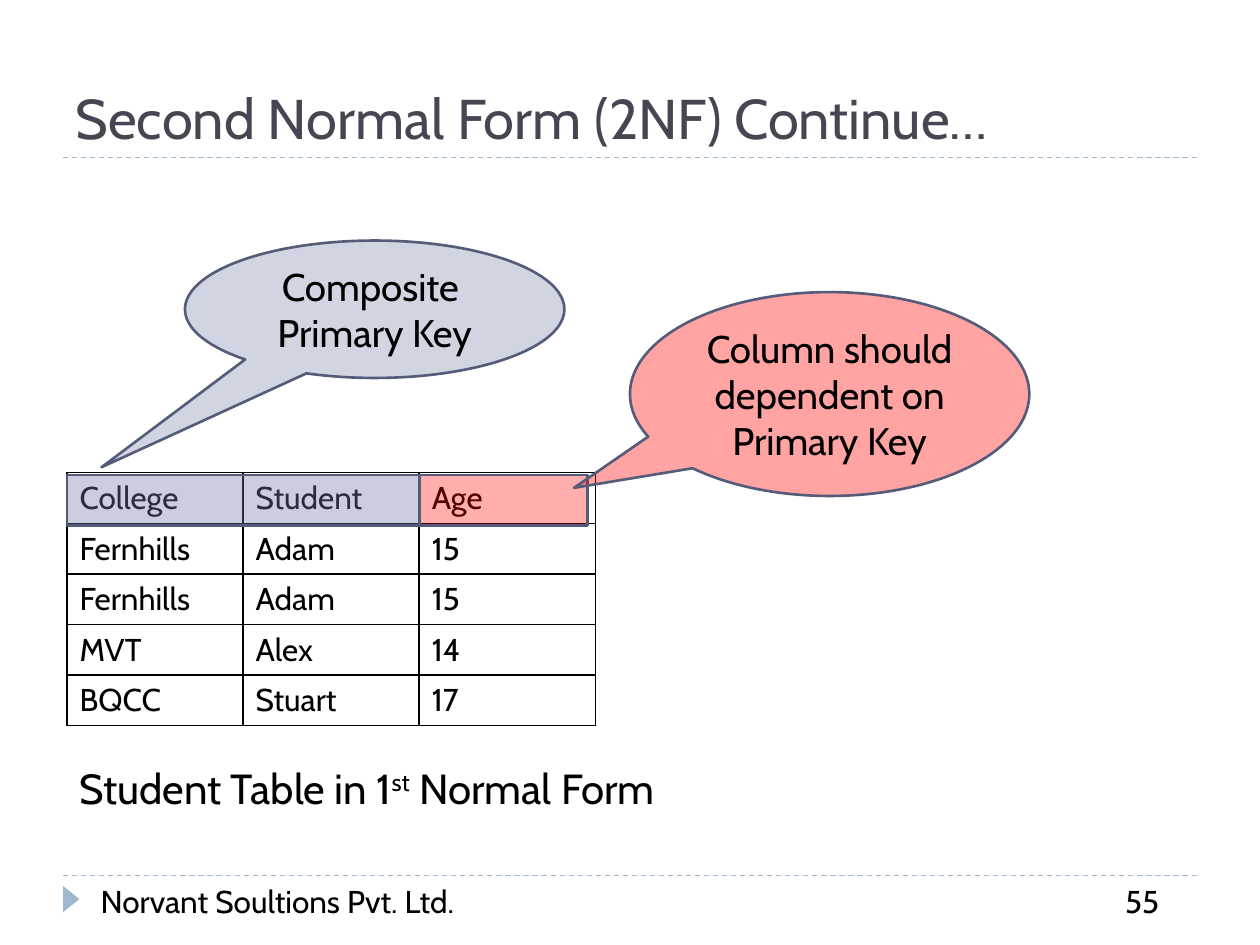
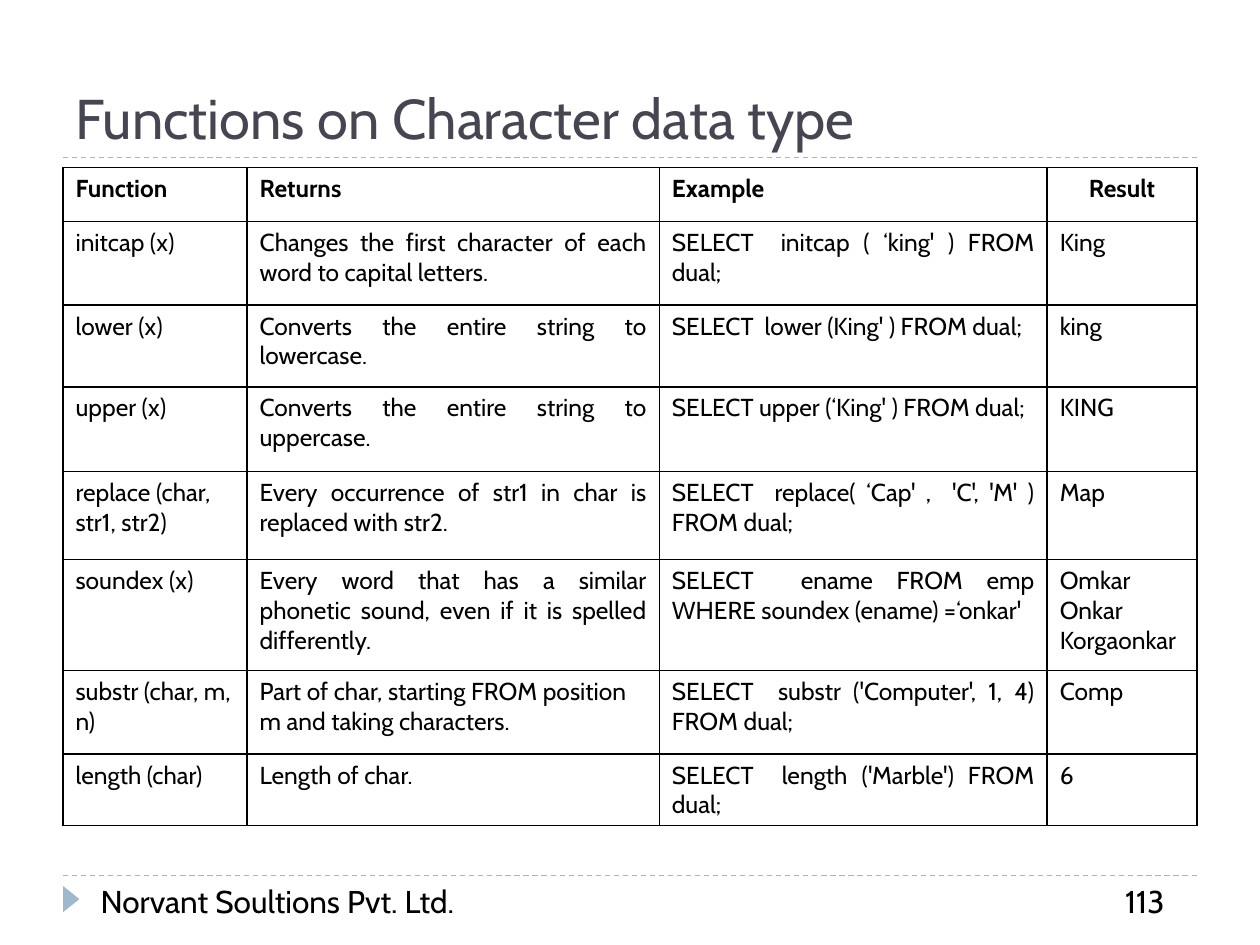
from dataclasses import dataclass
from typing import NamedTuple, Optional

from lxml.etree import SubElement
from pptx import Presentation
from pptx.dml.color import RGBColor
from pptx.enum.dml import MSO_LINE_DASH_STYLE as Dash
from pptx.enum.shapes import MSO_CONNECTOR as Connector
from pptx.enum.shapes import MSO_SHAPE as Preset
from pptx.enum.text import MSO_ANCHOR as Anchor
from pptx.enum.text import MSO_AUTO_SIZE as AutoSize
from pptx.enum.text import PP_ALIGN as Align
from pptx.oxml.ns import qn
from pptx.util import Cm, Pt


@dataclass(frozen=True)
class Theme:
    font: str = "Cabin"
    title_color: str = "464653"
    text_color: str = "000000"
    rule_color: str = "9FB8CD"
    outline_color: str = "545C79"
    key_color: str = "727CA3"
    dependent_color: str = "FF0000"
    title_size: float = 32
    caption_size: float = 24
    callout_size: float = 22
    body_size: float = 18
    small_size: float = 14
    rule_width: float = 0.75
    border_width: float = 1
    outline_width: float = 1.5


THEME = Theme()


class Box(NamedTuple):
    """Left, top, width and height in centimetres."""
    left: float
    top: float
    width: float
    height: float

    def lengths(self) -> tuple:
        return tuple(Cm(value) for value in self)


@dataclass(frozen=True)
class Highlight:
    """Translucent marker or callout laid over the table."""
    preset: Preset
    box: Box
    color: str
    opacity: int
    lines: tuple = ()
    tail: Optional[tuple] = None


class Cell(NamedTuple):
    text: str
    align: Align = Align.LEFT
    bold: bool = False


@dataclass(frozen=True)
class TableLayout:
    box: Box
    columns: tuple
    rows: tuple
    size: float
    anchor: Anchor


# Shared places
MARGIN, RIGHT_EDGE = 1.27, 24.13
RULE_TOPS = (17.65, 3.18)
TITLE_BOX = Box(MARGIN, 0.43, 22.86, 2.74)
MARKER_BOX = Box(1.17, 17.96, 0.53, 0.33)
COMPANY_BOX = Box(1.78, 17.65, 9.65, 1.02)
NUMBER_BOX = Box(22.43, 17.65, 1.7, 1.02)
COMPANY = "Norvant Soultions Pvt. Ltd."

# Normal form slide
STUDENTS = (
    ("College", "Student", "Age"),
    ("Fernhills", "Adam", "15"),
    ("Fernhills", "Adam", "15"),
    ("MVT", "Alex", "14"),
    ("BQCC", "Stuart", "17"),
)
STUDENT_LAYOUT = TableLayout(
    Box(1.35, 9.53, 10.65, 5.1), (3.55,) * 3, (1.02,) * 5, THEME.body_size, Anchor.MIDDLE)
CAPTION_BOX = Box(1.35, 15.24, 12.42, 1.27)
HIGHLIGHTS = (
    Highlight(Preset.RECTANGLE, Box(1.35, 9.58, 7.11, 1.02), THEME.key_color, 37),
    Highlight(Preset.OVAL_CALLOUT, Box(3.73, 4.85, 7.65, 2.77), THEME.key_color, 32,
              ("Composite ", "Primary Key"), (-0.72, 1.15)),
    Highlight(Preset.RECTANGLE, Box(8.46, 9.58, 3.38, 1.02), THEME.dependent_color, 32),
    Highlight(Preset.OVAL_CALLOUT, Box(12.7, 5.89, 8.05, 4.11), THEME.dependent_color, 36,
              ("Column should dependent on Primary Key",), (-0.64, 0.46)),
)

# Character function slide
FUNCTIONS = (
    ("Function", "Returns", "Example", "Result"),
    ("initcap (x)", "Changes the first character of each word to capital letters.",
     "SELECT  initcap ( ‘king' ) FROM dual;", "King"),
    ("lower (x)", "Converts the entire string to lowercase.",
     "SELECT  lower (King' ) FROM dual;", "king"),
    ("upper (x)", "Converts the entire string to uppercase.",
     "SELECT upper (‘King' ) FROM dual;", "KING"),
    ("replace (char, str1, str2)", "Every occurrence of str1 in char is replaced with str2.",
     "SELECT  replace( ‘Cap' ,  'C', 'M' ) FROM dual;", "Map"),
    ("soundex (x)",
     "Every word that has a similar phonetic sound, even if it is spelled differently.",
     "SELECT  ename FROM emp WHERE soundex (ename) =‘onkar'", "Omkar\nOnkar\nKorgaonkar"),
    ("substr (char, m, n)", "Part of char, starting FROM position m and taking characters.",
     "SELECT  substr ('Computer', 1, 4) FROM dual;", "Comp"),
    ("length (char)", "Length of char.", "SELECT  length ('Marble') FROM dual;", "6"),
)
FUNCTION_LAYOUT = TableLayout(
    Box(MARGIN, 3.38, 22.86, 13.24), (3.71, 8.31, 7.82, 3.02),
    (1.09, 1.68, 1.65, 1.7, 1.78, 2.24, 1.68, 1.42), THEME.small_size, Anchor.TOP)
HEADER_ALIGNS = (Align.JUSTIFY,) * 3 + (Align.CENTER,)
BODY_ALIGNS = (Align.LEFT, Align.JUSTIFY, Align.JUSTIFY, Align.LEFT)
LEFT_ALIGNED_RETURNS = "substr"


# Text and line helpers
def rgb(color: str) -> RGBColor:
    return RGBColor.from_string(color)


def add_run(paragraph, text: str, size: float, color: str = THEME.text_color,
            bold: bool = False):
    run = paragraph.add_run()
    run.text = text
    run.font.name = THEME.font
    run.font.size = Pt(size)
    run.font.bold = bold
    run.font.color.rgb = rgb(color)
    return run


def write_lines(frame, lines, size: float, align: Align = Align.LEFT,
                bold: bool = False) -> None:
    for index, line in enumerate(lines):
        paragraph = frame.add_paragraph() if index else frame.paragraphs[0]
        paragraph.alignment = align
        add_run(paragraph, line, size, bold=bold)


def add_text(slide, box: Box, text: str, size: float) -> None:
    frame = slide.shapes.add_textbox(*box.lengths()).text_frame
    frame.word_wrap = True
    write_lines(frame, (text,), size)


def add_rule(slide, top: float) -> None:
    rule = slide.shapes.add_connector(
        Connector.STRAIGHT, Cm(MARGIN), Cm(top), Cm(RIGHT_EDGE), Cm(top))
    rule.line.color.rgb = rgb(THEME.rule_color)
    rule.line.width = Pt(THEME.rule_width)
    rule.line.dash_style = Dash.DASH
    SubElement(rule._element.spPr, qn("a:effectLst"))


# Slide frame: rules, marker, title and footer
def add_framed_slide(presentation, title: str, number: int):
    slide = presentation.slides.add_slide(presentation.slide_layouts[5])
    for top in RULE_TOPS:
        add_rule(slide, top)
    marker = slide.shapes.add_shape(Preset.ISOSCELES_TRIANGLE, *MARKER_BOX.lengths())
    marker.rotation = 90
    marker.shadow.inherit = False
    marker.fill.solid()
    marker.fill.fore_color.rgb = rgb(THEME.rule_color)
    marker.line.fill.background()

    heading = slide.shapes.title
    heading.left, heading.top, heading.width, heading.height = TITLE_BOX.lengths()
    frame = heading.text_frame
    frame.auto_size = AutoSize.NONE
    frame.vertical_anchor = Anchor.BOTTOM
    frame.paragraphs[0].alignment = Align.LEFT
    add_run(frame.paragraphs[0], title, THEME.title_size, THEME.title_color)

    add_text(slide, COMPANY_BOX, COMPANY, THEME.body_size)
    add_text(slide, NUMBER_BOX, str(number), THEME.body_size)
    return slide


# Tables
def add_borders(cell) -> None:
    properties = cell._tc.get_or_add_tcPr()
    for side in ("lnL", "lnR", "lnT", "lnB"):
        border = SubElement(properties, qn(f"a:{side}"), w=str(Pt(THEME.border_width)))
        fill = SubElement(border, qn("a:solidFill"))
        SubElement(fill, qn("a:srgbClr"), val=THEME.text_color)


def add_grid(slide, layout: TableLayout, content: list) -> None:
    table = slide.shapes.add_table(
        len(layout.rows), len(layout.columns), *layout.box.lengths()).table
    table.first_row = table.horz_banding = False
    for column, width in zip(table.columns, layout.columns):
        column.width = Cm(width)
    for row, height, cells in zip(table.rows, layout.rows, content):
        row.height = Cm(height)
        for cell, entry in zip(row.cells, cells):
            add_borders(cell)
            cell.fill.background()
            cell.vertical_anchor = layout.anchor
            write_lines(cell.text_frame, entry.text.split("\n"), layout.size,
                        entry.align, entry.bold)


def function_cells() -> list:
    header, *body = FUNCTIONS
    content = [[Cell(text, align, True) for text, align in zip(header, HEADER_ALIGNS)]]
    for row in body:
        aligns = list(BODY_ALIGNS)
        if row[0].startswith(LEFT_ALIGNED_RETURNS):
            aligns[1] = Align.LEFT
        content.append([Cell(text, align) for text, align in zip(row, aligns)])
    return content


# Highlights
def add_highlight(slide, highlight: Highlight) -> None:
    shape = slide.shapes.add_shape(highlight.preset, *highlight.box.lengths())
    shape.shadow.inherit = False
    shape.fill.solid()
    shape.fill.fore_color.rgb = rgb(highlight.color)
    color = shape._element.spPr.find(qn("a:solidFill")).find(qn("a:srgbClr"))
    SubElement(color, qn("a:alpha"), val=str(highlight.opacity * 1000))
    shape.line.color.rgb = rgb(THEME.outline_color)
    shape.line.width = Pt(THEME.outline_width)
    if highlight.tail:
        shape.adjustments[0], shape.adjustments[1] = highlight.tail
    if highlight.lines:
        shape.text_frame.vertical_anchor = Anchor.MIDDLE
        write_lines(shape.text_frame, highlight.lines, THEME.callout_size, Align.CENTER)


# Slides
def build_normal_form_slide(presentation) -> None:
    slide = add_framed_slide(presentation, "Second Normal Form (2NF) Continue…", 55)
    add_grid(slide, STUDENT_LAYOUT, [[Cell(text) for text in row] for row in STUDENTS])
    frame = slide.shapes.add_textbox(*CAPTION_BOX.lengths()).text_frame
    frame.word_wrap = False
    paragraph = frame.paragraphs[0]
    add_run(paragraph, "Student Table in 1", THEME.caption_size)
    ordinal = add_run(paragraph, "st", THEME.caption_size)
    ordinal.font._element.set("baseline", "30000")
    add_run(paragraph, " Normal Form", THEME.caption_size)
    for highlight in HIGHLIGHTS:
        add_highlight(slide, highlight)


def build_functions_slide(presentation) -> None:
    slide = add_framed_slide(presentation, "Functions on Character data type", 113)
    add_grid(slide, FUNCTION_LAYOUT, function_cells())


def main() -> None:
    presentation = Presentation()
    presentation.slide_width, presentation.slide_height = Cm(25.4), Cm(19.05)
    build_normal_form_slide(presentation)
    build_functions_slide(presentation)
    presentation.save("out.pptx")


if __name__ == "__main__":
    main()
